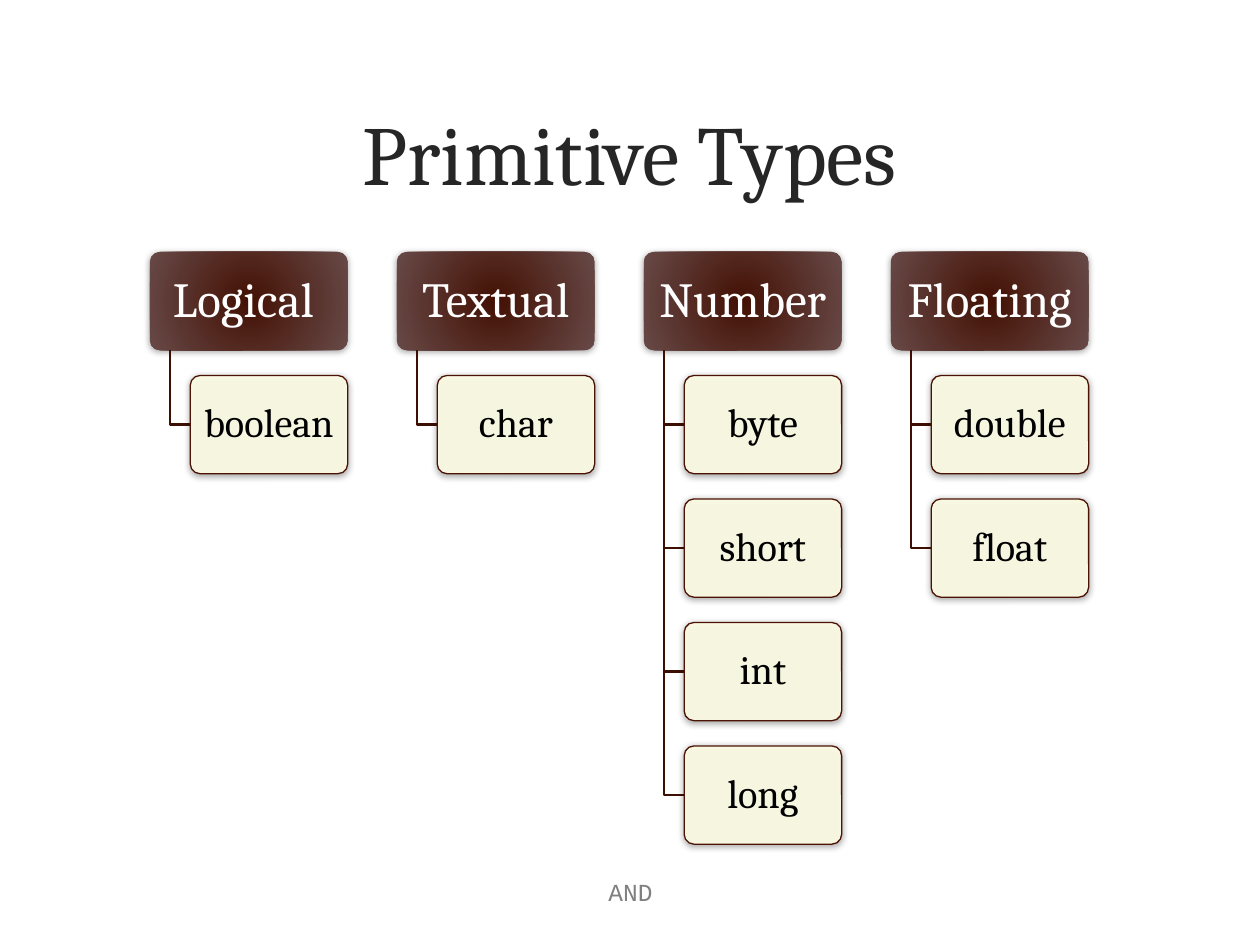
from dataclasses import dataclass
from lxml.etree import SubElement
from pptx import Presentation
from pptx.dml.color import RGBColor as RGB
from pptx.enum.shapes import MSO_SHAPE as Kind
from pptx.enum.text import MSO_ANCHOR as Anchor, PP_ALIGN as Align
from pptx.oxml.ns import qn
from pptx.util import Inches, Pt


@dataclass
class Theme:
    serif: str = "Cambria"
    mono: str = "Courier New"
    title: str = "262626"
    foot: str = "808080"
    inner: str = "441104"
    outer: str = "674947"
    cream: str = "FFFEE6"
    edge: str = "4C1304"
    link: str = "3D0F03"
    white: str = "FFFFFF"
    black: str = "000000"
    title_pt: int = 48
    head_pt: int = 28
    item_pt: int = 23
    foot_pt: int = 14


theme = Theme()
deck = Presentation()
deck.slide_width, deck.slide_height = Inches(10), Inches(7.5)
slide = deck.slides.add_slide(deck.slide_layouts[6])
shapes = slide.shapes


def write(shape, text, size, color, font=theme.serif, pad=(0.1, 0.05), space=1.0):
    frame = shape.text_frame
    frame.word_wrap = True
    frame.vertical_anchor = Anchor.MIDDLE
    frame.margin_left = frame.margin_right = Inches(pad[0])
    frame.margin_top = frame.margin_bottom = Inches(pad[1])
    para = frame.paragraphs[0]
    para.alignment = Align.CENTER
    para.line_spacing = space
    run = para.add_run()
    run.text = text
    run.font.name = font
    run.font.size = Pt(size)
    run.font.color.rgb = RGB.from_string(color)


def add_card(x, y, w, h):
    card = shapes.add_shape(Kind.ROUNDED_RECTANGLE, Inches(x), Inches(y), Inches(w), Inches(h))
    card.adjustments[0] = 0.1
    card.line.fill.background()
    # Soft shadow straight below
    card.shadow.inherit = False
    effects = card.element.spPr.find(qn("a:effectLst"))
    drop = SubElement(effects, qn("a:outerShdw"), blurRad=str(Pt(4)), dist=str(Pt(1)),
                      dir="5400000", algn="ctr", rotWithShape="0")
    tint = SubElement(drop, qn("a:srgbClr"), val=theme.black)
    SubElement(tint, qn("a:alpha"), val="37000")
    return card


# Title
title = shapes.add_textbox(Inches(0.5), Inches(0.58), Inches(9), Inches(1.25))
write(title, "Primitive Types", theme.title_pt, theme.title)

# Type tree: one column per group
groups = [
    ("Logical ", ["boolean"]),
    ("Textual", ["char"]),
    ("Number", ["byte", "short", "int", "long"]),
    ("Floating", ["double", "float"]),
]
left, top = 1.19, 2
wide, high = 1.57, 0.78
step_x, step_y = 1.96, 0.98
stem, indent = 0.16, 0.32

for col, (name, items) in enumerate(groups):
    x = left + col * step_x

    # Group header with a glow from its centre
    head = add_card(x, top, wide, high)
    head.fill.gradient()
    for stop, color in zip(head.fill.gradient_stops, (theme.inner, theme.outer)):
        stop.color.rgb = RGB.from_string(color)
    grad = head.element.spPr.find(qn("a:gradFill"))
    grad.remove(grad.find(qn("a:lin")))
    glow = SubElement(grad, qn("a:path"), path="circle")
    SubElement(glow, qn("a:fillToRect"), l="40000", t="100000", r="40000", b="100000")
    write(head, name, theme.head_pt, theme.white, pad=(0.06, 0.04), space=0.9)

    for row, item in enumerate(items, 1):
        y = top + row * step_y

        # Elbow from header to item
        mid = Inches(y + high / 2)
        path = shapes.build_freeform(Inches(x + stem), Inches(top + high))
        path.add_line_segments([(Inches(x + stem), mid), (Inches(x + indent), mid)], close=False)
        elbow = path.convert_to_shape()
        elbow.shadow.inherit = False
        elbow.fill.background()
        elbow.line.color.rgb = RGB.from_string(theme.link)
        elbow.line.width = Pt(1.5)

        # Item card
        card = add_card(x + indent, y, wide - indent, high)
        card.fill.solid()
        card.fill.fore_color.rgb = RGB.from_string(theme.cream)
        tint = card.element.spPr.find(qn("a:solidFill")).find(qn("a:srgbClr"))
        SubElement(tint, qn("a:alpha"), val="90000")
        card.line.color.rgb = RGB.from_string(theme.edge)
        card.line.width = Pt(0.75)
        write(card, item, theme.item_pt, theme.black, pad=(0.05, 0.03), space=0.9)

# Footer
foot = shapes.add_textbox(Inches(3.42), Inches(6.83), Inches(3.17), Inches(0.5))
write(foot, "AND", theme.foot_pt, theme.foot, font=theme.mono)

deck.save("out.pptx")
